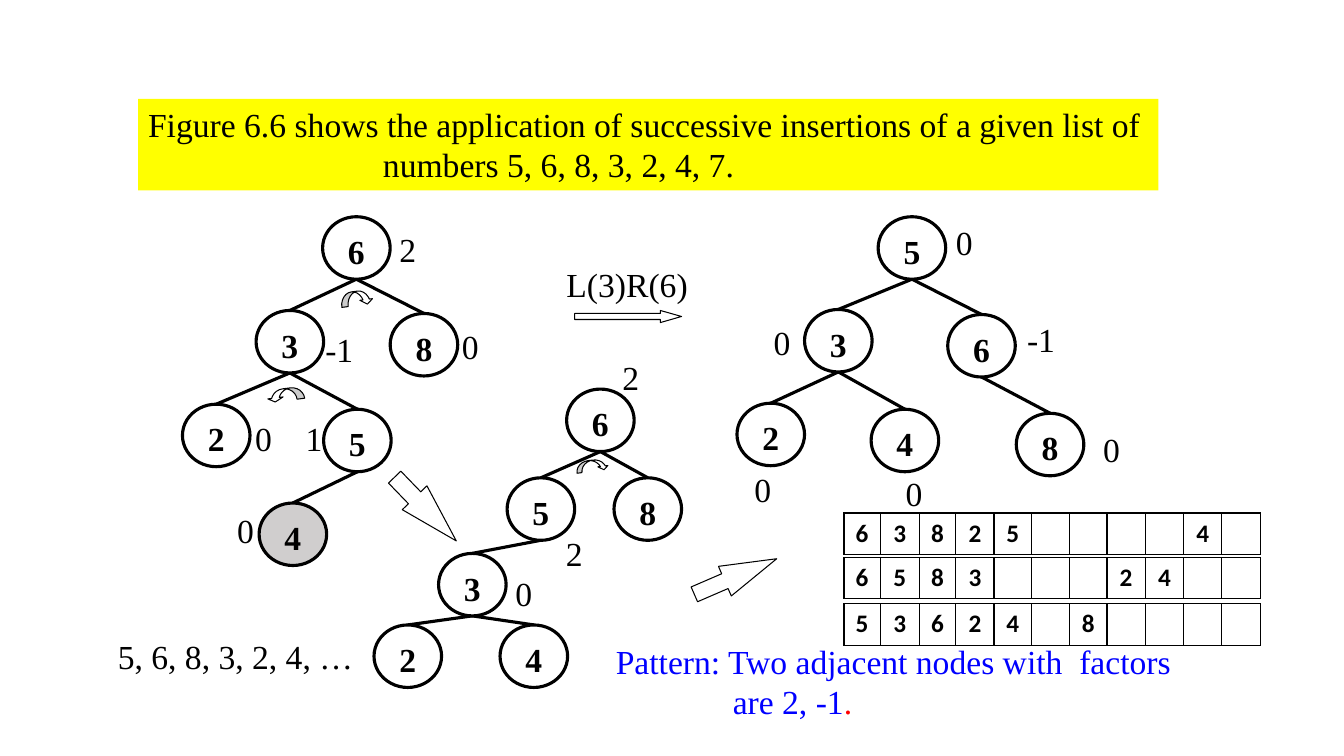
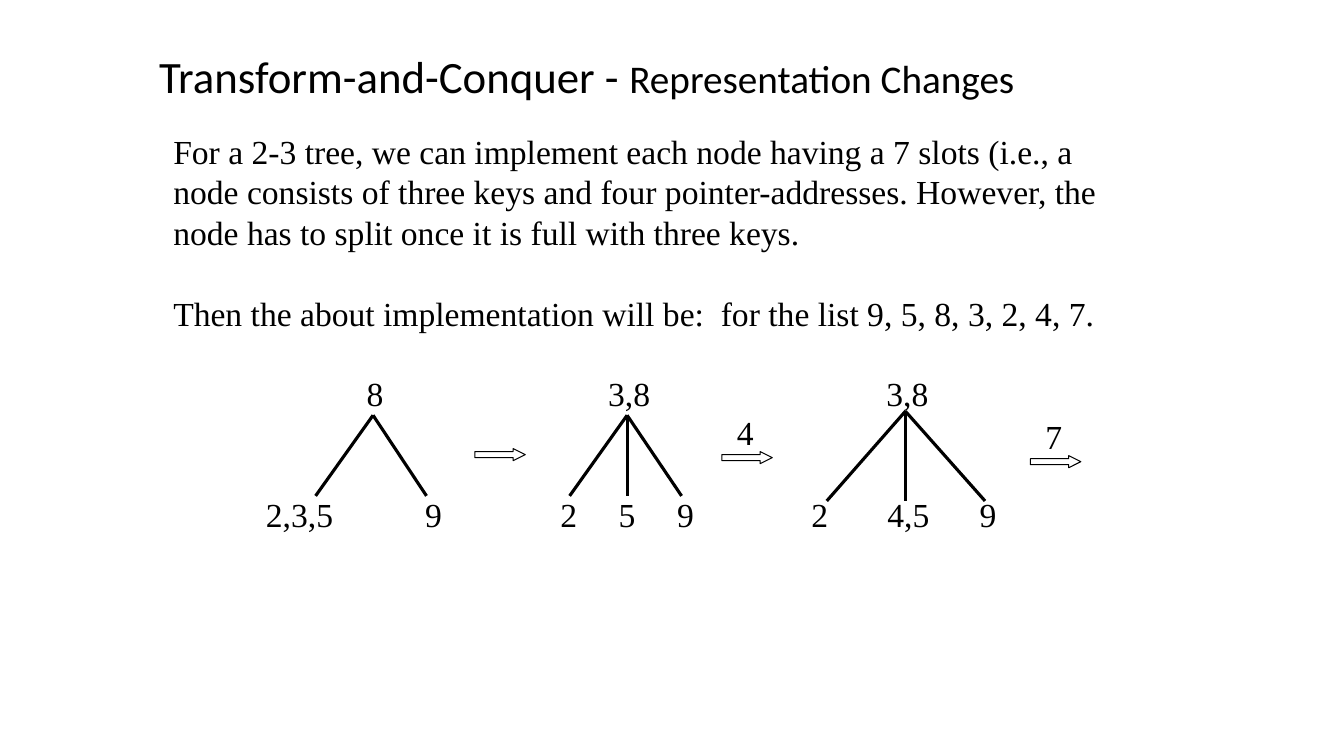
from collections import namedtuple

from lxml import etree
from pptx import Presentation
from pptx import util as u
from pptx.dml.color import RGBColor
from pptx.enum import shapes, text
from pptx.oxml import ns

BLACK = RGBColor(0x00, 0x00, 0x00)
WHITE = RGBColor(0xFF, 0xFF, 0xFF)
YELLOW = RGBColor(0xFF, 0xFF, 0x00)
GREY = RGBColor(0xD0, 0xCE, 0xCE)
BLUE = RGBColor(0x00, 0x00, 0xFF)
RED = RGBColor(0xFF, 0x00, 0x00)

SERIF, SANS = "Times New Roman", "Calibri"
NODE_W, NODE_H = 0.67, 0.62
LABEL_W, LABEL_H = 0.51, 0.5
COLUMN_WIDTHS = [0.36, 0.39, 0.36, 0.38, 0.37, 0.38, 0.37] + [0.38] * 4
ROW_H = 0.41

# Node position is relative to its tree, label position to its node
Node = namedtuple("Node", "x y parent factor label fill",
                  defaults=(None, None, None, WHITE))

UNBALANCED_TREE = {
    "6": Node(1.39, 0, None, "2", (0.59, 0.07)),
    "3": Node(0.73, 0.93, "6", "-1", (0.57, 0.13)),
    "8": Node(2.06, 0.96, "6", "0", (0.54, 0.07)),
    "2": Node(0, 1.86, "3", "0", (0.55, 0.09)),
    "5": Node(1.4, 1.91, "3", "1", (-0.35, 0.04)),
    "4": Node(0.76, 2.84, "5", "0", (-0.39, 0.02), GREY),
}
HALF_ROTATED_TREE = {
    "6": Node(1.91, 0, None, "2", (0.38, -0.37)),
    "5": Node(1.32, 0.88, "6", "2", (0.41, 0.5)),
    "8": Node(2.38, 0.88, "6"),
    "3": Node(0.64, 1.63, "5", "0", (0.59, 0.14)),
    "2": Node(0, 2.34, "3"),
    "4": Node(1.25, 2.34, "3"),
}
BALANCED_TREE = {
    "5": Node(1.4, 0, None, "0", (0.6, 0)),
    "3": Node(0.67, 0.92, "5", "0", (-0.48, 0.07)),
    "6": Node(2.09, 0.97, "5", "-1", (0.67, -0.01)),
    "2": Node(0, 1.85, "3", "0", (0, 0.6)),
    "4": Node(1.33, 1.91, "3", "0", (0.17, 0.58)),
    "8": Node(2.77, 1.95, "6", "0", (0.69, 0.11)),
}
# Heap-style array of each tree, one row per stage
ARRAYS = [
    (5.09, {0: "6", 1: "3", 2: "8", 3: "2", 4: "5", 9: "4"}),
    (5.53, {0: "6", 1: "5", 2: "8", 3: "3", 7: "2", 8: "4"}),
    (5.99, {0: "5", 1: "3", 2: "6", 3: "2", 4: "4", 6: "8"}),
]


def inches(*lengths):
    return [u.Inches(length) for length in lengths]


def add_run(paragraph, content, size=24, color=BLACK, font=SERIF, bold=False):
    run = paragraph.add_run()
    run.text = content
    run.font.size = u.Pt(size)
    run.font.name = font
    run.font.bold = bold
    run.font.color.rgb = color


def indent(paragraph, length):
    paragraph._p.get_or_add_pPr().set("marL", str(u.Inches(length)))


def add_label(slide, box, content="", align=text.PP_ALIGN.LEFT, wrap=True):
    """Add a text box; return its text frame."""
    frame = slide.shapes.add_textbox(*inches(*box)).text_frame
    frame.word_wrap = wrap
    frame.paragraphs[0].alignment = align
    if content:
        add_run(frame.paragraphs[0], content)
    return frame


def add_outlined(slide, kind, box, fill=WHITE, line_width=None):
    shape = slide.shapes.add_shape(kind, *inches(*box))
    shape.shadow.inherit = False
    shape.fill.solid()
    shape.fill.fore_color.rgb = fill
    if line_width:
        shape.line.color.rgb = BLACK
        shape.line.width = u.Pt(line_width)
    else:
        shape.line.fill.background()
    return shape


def add_edge(slide, start, end):
    line = slide.shapes.add_connector(shapes.MSO_CONNECTOR.STRAIGHT,
                                      *inches(*start, *end))
    line.line.color.rgb = BLACK
    line.line.width = u.Pt(2.25)
    etree.SubElement(line._element.spPr, ns.qn("a:effectLst"))


def add_arrow(slide, box, head, rotation=0):
    arrow = add_outlined(slide, shapes.MSO_SHAPE.RIGHT_ARROW, box, line_width=0.75)
    arrow.adjustments[0], arrow.adjustments[1] = 0.5, head
    arrow.rotation = rotation


def add_rotation_mark(slide, box, bend, flipped):
    mark = add_outlined(slide, shapes.MSO_SHAPE.CURVED_RIGHT_ARROW, box,
                        line_width=0.75)
    for index, value in enumerate((bend, 2 * bend, 0.333)):
        mark.adjustments[index] = value
    mark.rotation = 82.6
    if flipped:
        mark._element.spPr.find(ns.qn("a:xfrm")).set("flipV", "1")


def add_node(slide, left, top, key, fill):
    node = add_outlined(slide, shapes.MSO_SHAPE.OVAL, (left, top, NODE_W, NODE_H),
                        fill, 2.25)
    frame = node.text_frame
    frame.vertical_anchor = text.MSO_ANCHOR.TOP
    paragraph = frame.paragraphs[0]
    paragraph.alignment = text.PP_ALIGN.CENTER
    paragraph.space_after = u.Pt(8)
    add_run(paragraph, key, bold=True)


def add_binary_tree(slide, left, top, nodes):
    """Edges run from the foot of a parent to the top of its child."""
    for node in nodes.values():
        if node.parent:
            parent = nodes[node.parent]
            add_edge(slide,
                     (left + parent.x + NODE_W / 2, top + parent.y + NODE_H),
                     (left + node.x + NODE_W / 2, top + node.y))
    for key, node in nodes.items():
        add_node(slide, left + node.x, top + node.y, key, node.fill)
        if node.factor:
            dx, dy = node.label
            add_label(slide, (left + node.x + dx, top + node.y + dy, LABEL_W, LABEL_H),
                      node.factor, text.PP_ALIGN.CENTER)


def add_cell_borders(cell):
    properties = cell._tc.get_or_add_tcPr()
    for index, side in enumerate(("lnL", "lnR", "lnT", "lnB")):
        line = etree.Element(ns.qn("a:" + side), w=str(u.Pt(1)))
        fill = etree.SubElement(line, ns.qn("a:solidFill"))
        etree.SubElement(fill, ns.qn("a:srgbClr"), val=str(BLACK))
        properties.insert(index, line)


def add_array(slide, left, top, values):
    frame = slide.shapes.add_table(1, len(COLUMN_WIDTHS),
                                   *inches(left, top, sum(COLUMN_WIDTHS), ROW_H))
    table = frame.table
    table.first_row = table.horz_banding = False
    for index, width in enumerate(COLUMN_WIDTHS):
        table.columns[index].width = u.Inches(width)
        cell = table.cell(0, index)
        cell.fill.solid()
        cell.fill.fore_color.rgb = WHITE
        add_cell_borders(cell)
        if index in values:
            paragraph = cell.text_frame.paragraphs[0]
            paragraph.alignment = text.PP_ALIGN.CENTER
            add_run(paragraph, values[index], 18, font=SANS, bold=True)


def add_key_tree(slide, apex, root, leaves):
    """A 2-3 tree; each leaf is (text, text centre, edge end), relative to the apex."""
    x, y, leaf_y = apex
    add_centred = lambda centre, top, content: add_label(
        slide, (centre - 0.5, top, 1, LABEL_H), content, text.PP_ALIGN.CENTER)
    add_centred(x + 0.02, 3.65, root)
    for content, centre, end in leaves:
        add_edge(slide, (x, y), (x + end, leaf_y))
        add_centred(x + centre, 4.85, content)


def build_rotation_slide(slide):
    # Banner
    banner = add_outlined(slide, shapes.MSO_SHAPE.RECTANGLE,
                          (1.37, 0.98, 10.12, 0.91), YELLOW)
    frame = banner.text_frame
    frame.vertical_anchor = text.MSO_ANCHOR.TOP
    first, second = frame.paragraphs[0], frame.add_paragraph()
    first.alignment = second.alignment = text.PP_ALIGN.LEFT
    add_run(first, "Figure 6.6 shows the application of successive insertions "
                   "of a given list of")
    indent(second, 2.33)
    add_run(second, "numbers 5, 6, 8, 3, 2, 4, 7.")

    # Trees and the rotations between them
    add_binary_tree(slide, 1.81, 2.15, UNBALANCED_TREE)
    add_binary_tree(slide, 3.71, 3.86, HALF_ROTATED_TREE)
    add_binary_tree(slide, 7.31, 2.15, BALANCED_TREE)
    add_rotation_mark(slide, (3.47, 2.8, 0.14, 0.32), 0.454, True)
    add_rotation_mark(slide, (2.77, 3.73, 0.12, 0.37), 0.632, False)
    add_rotation_mark(slide, (5.82, 4.46, 0.11, 0.32), 0.454, True)
    add_arrow(slide, (5.7, 3.08, 1.06, 0.12), 1.75)
    add_arrow(slide, (3.78, 4.88, 0.88, 0.34), 1.75, 46)
    add_arrow(slide, (6.85, 5.56, 0.89, 0.32), 1.75, 336.6)
    add_label(slide, (5.52, 2.57, 1.46, 0.5), "L(3)R(6)", wrap=False)

    # Inserted list, pattern and arrays
    add_label(slide, (1.07, 6.26, 2.64, 0.5), "5, 6, 8, 3, 2, 4, …", wrap=False)
    frame = add_label(slide, (6.01, 6.31, 5.93, 0.91))
    add_run(frame.paragraphs[0], "Pattern: Two adjacent nodes with  factors", color=BLUE)
    paragraph = frame.add_paragraph()
    indent(paragraph, 1.16)
    add_run(paragraph, "are 2, -1", color=BLUE)
    add_run(paragraph, ".", color=RED)
    for top, values in ARRAYS:
        add_array(slide, 8.37, top, values)


def build_representation_slide(slide):
    # Title
    title = add_label(slide, (1.48, 0.43, 8.95, 0.64), wrap=False).paragraphs[0]
    add_run(title, "Transform-and-Conquer - ", 32, font=SANS)
    add_run(title, "Representation Changes", 28, font=SANS)

    # Explanation
    frame = add_label(
        slide, (1.62, 1.25, 9.49, 2.12),
        "For a 2-3 tree, we can implement each node having a 7 slots (i.e., a node "
        "consists of three keys and four pointer-addresses. However, the node has to "
        "split once it is full with three keys.")
    paragraph = frame.add_paragraph()
    paragraph.space_before = u.Pt(29)
    add_run(paragraph, "Then the about implementation will be:  "
                       "for the list 9, 5, 8, 3, 2, 4, 7.")

    # Growth of the 2-3 tree
    add_key_tree(slide, (3.7, 4.12, 4.92), "8",
                 [("2,3,5", -0.73, -0.57), ("9", 0.6, 0.53)])
    add_key_tree(slide, (6.22, 4.12, 4.92), "3,8",
                 [("2", -0.58, -0.57), ("5", 0, 0), ("9", 0.58, 0.54)])
    add_key_tree(slide, (8.98, 4.08, 4.97), "3,8",
                 [("2", -0.85, -0.78), ("4,5", 0.03, 0), ("9", 0.82, 0.79)])

    # Insertion steps
    for left, top, key in ((4.71, 4.45, None), (7.16, 4.48, "4"), (10.22, 4.52, "7")):
        add_arrow(slide, (left, top, 0.5, 0.12), 1)
        if key:
            add_label(slide, (left + 0.05, top - 0.44, 0.39, 0.5), key)


def main():
    presentation = Presentation()
    presentation.slide_width, presentation.slide_height = inches(13.33, 7.5)
    for build in (build_rotation_slide, build_representation_slide):
        build(presentation.slides.add_slide(presentation.slide_layouts[6]))
    presentation.save("out.pptx")


if __name__ == "__main__":
    main()
